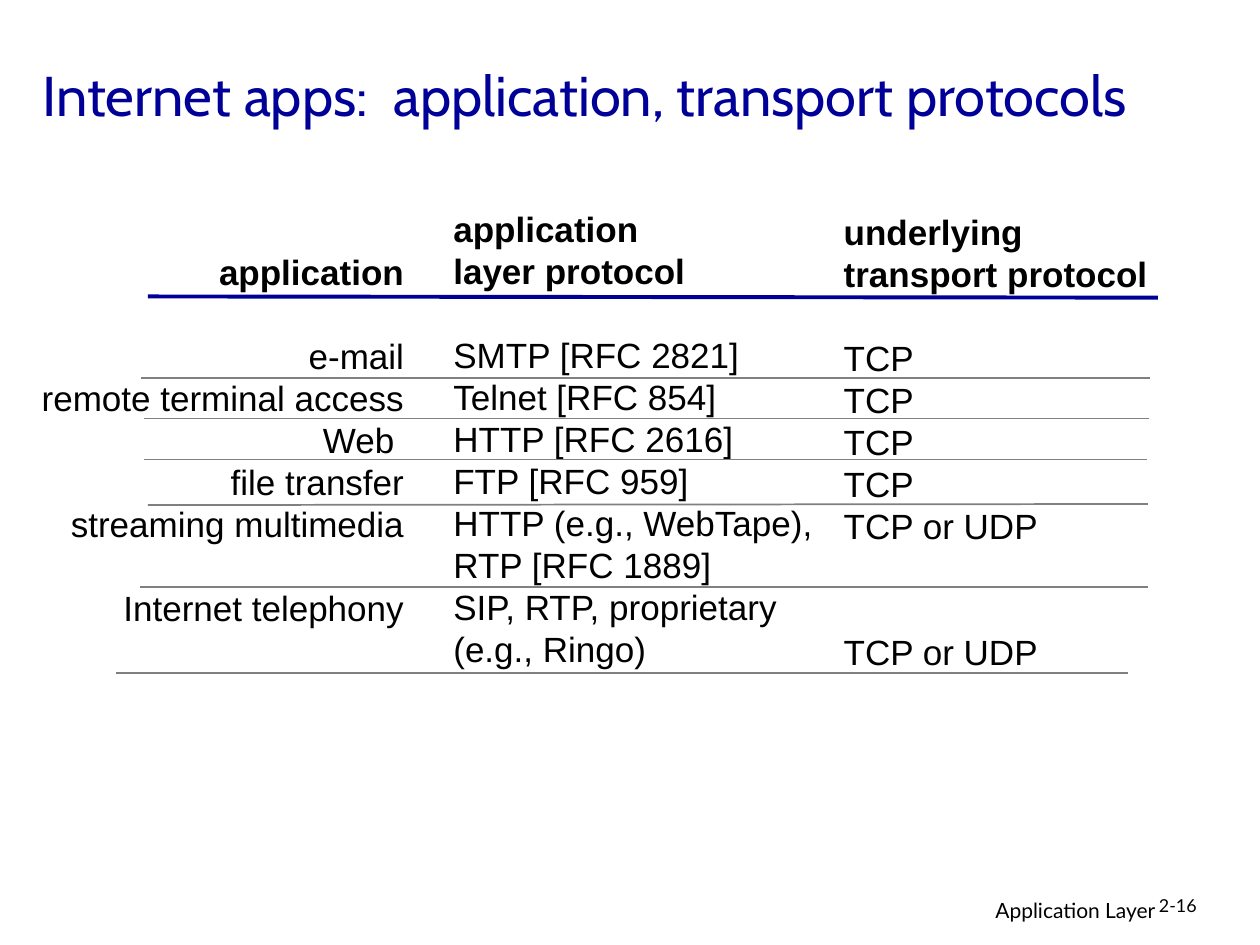
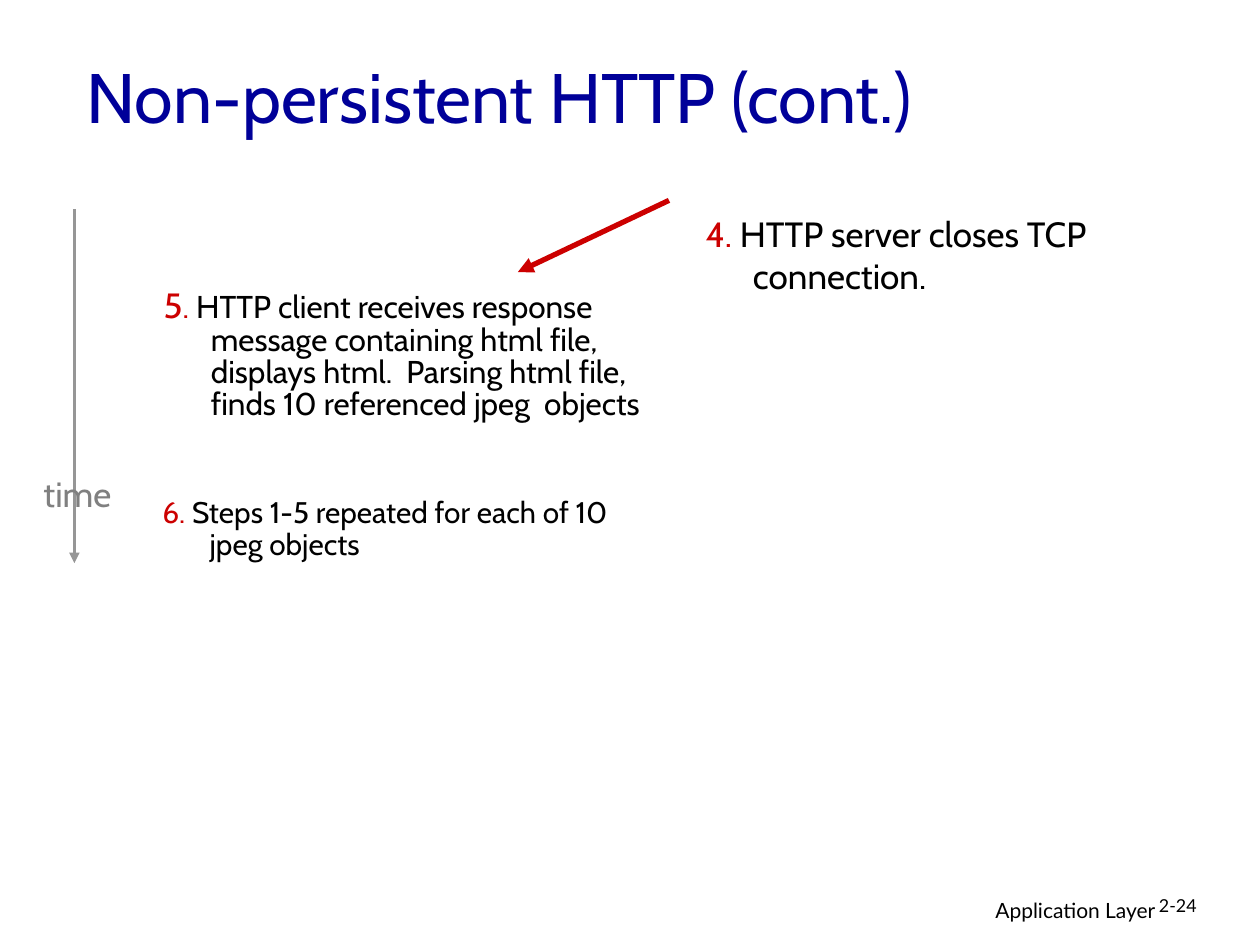
from dataclasses import dataclass
from typing import NamedTuple

from lxml import etree
from pptx import Presentation
from pptx.dml.color import RGBColor
from pptx.enum.shapes import MSO_CONNECTOR
from pptx.enum.text import MSO_ANCHOR, PP_ALIGN
from pptx.oxml.ns import qn
from pptx.util import Pt

STRAIGHT = MSO_CONNECTOR.STRAIGHT
LEFT, CENTER, RIGHT = PP_ALIGN.LEFT, PP_ALIGN.CENTER, PP_ALIGN.RIGHT
MIDDLE = MSO_ANCHOR.MIDDLE

BLACK = RGBColor(0x00, 0x00, 0x00)
NAVY = RGBColor(0x00, 0x00, 0x99)
RED = RGBColor(0xCC, 0x00, 0x00)
GRAY = RGBColor(0x80, 0x80, 0x80)
LIGHT_GRAY = RGBColor(0x96, 0x96, 0x96)

TITLE_FONT, TABLE_FONT, FOOTER_FONT = "Cabin", "Arial", "Lato"
ROW_HEIGHT = 24
HANGING_INDENT = Pt(27)


class Box(NamedTuple):
    left: float
    top: float
    width: float
    height: float


class Entry(NamedTuple):
    text: str
    rows_above: int = 0


class Piece(NamedTuple):
    text: str
    size: float
    color: RGBColor


@dataclass
class Column:
    box: Box
    heading: list[str]
    entries: list[Entry]
    alignment: PP_ALIGN = LEFT


@dataclass
class Line:
    start: tuple[float, float]
    end: tuple[float, float]
    color: RGBColor = GRAY
    weight: float = 1
    arrow: bool = False


@dataclass
class Step:
    box: Box
    pieces: list[Piece]
    line_spacing: float = 1.0


FOOTER_BOX = Box(439.2, 509.4, 228.25, 22.3)
NUMBER_BOX = Box(655.2, 509, 53.3, 21.6)

COLUMNS = [
    Column(Box(10, 139.7, 228, 247.7), ["application"], [
        Entry("e-mail", 1), Entry("remote terminal access"), Entry("Web "),
        Entry("file transfer"), Entry("streaming multimedia"),
        Entry("Internet telephony", 1)], RIGHT),
    Column(Box(252, 115.2, 236, 271.4), ["application", "layer protocol"], [
        Entry("SMTP [RFC 2821]", 1), Entry("Telnet [RFC 854]"),
        Entry("HTTP [RFC 2616]"), Entry("FTP [RFC 959]"),
        Entry("HTTP (e.g., WebTape), \vRTP [RFC 1889]"),
        Entry("SIP, RTP, proprietary"), Entry("(e.g., Ringo)")]),
    Column(Box(475, 116.6, 206.8, 271.4), ["underlying", "transport protocol"], [
        Entry("TCP", 1), Entry("TCP"), Entry("TCP"), Entry("TCP"),
        Entry("TCP or UDP"), Entry("TCP or UDP", 2)]),
]

RULES = [
    Line((84.5, 169.4), (661.7, 170.1), NAVY, 2.25),
    Line((80.6, 216), (657.4, 216)),
    Line((82.1, 239.2), (656.6, 239.2)),
    Line((82.1, 262.6), (655.2, 262.6)),
    Line((84.5, 288.6), (655.9, 288)),
    Line((79.9, 335.5), (655.9, 335.5)),
    Line((66.2, 384.5), (644.4, 384.5)),
]

STEPS = [
    Step(Box(86.4, 162, 300.2, 121), [
        Piece("5", 20, RED), Piece(".", 18, RED),
        Piece(" HTTP client receives response message containing html file, "
              "displays html.  Parsing html file, finds 10 referenced jpeg  objects",
              18, BLACK)], 0.85),
    Step(Box(85.7, 280.8, 300.2, 52.6), [
        Piece("6.", 17, RED),
        Piece(" Steps 1-5 repeated for each of 10 jpeg objects", 17, BLACK)], 0.9),
    Step(Box(396.2, 117.7, 300.2, 57.6), [
        Piece("4.", 20, RED),
        Piece(" HTTP server closes TCP connection.", 20, BLACK)]),
]

TIME_ARROW = Line((42.5, 119.5), (42.5, 321.8), LIGHT_GRAY, 1.5, True)
RESPONSE_ARROW = Line((382.3, 114.5), (295.9, 155.5), RED, 3, True)


def add_text_frame(slide, box: Box):
    frame = slide.shapes.add_textbox(*map(Pt, box)).text_frame
    frame.word_wrap = True
    return frame


def set_font(font, name: str, size: float, color: RGBColor, bold: bool = False) -> None:
    font.name, font.size, font.bold = name, Pt(size), bold
    font.color.rgb = color


def add_label(slide, box: Box, text: str, name: str, size: float,
              color: RGBColor = BLACK, alignment: PP_ALIGN = LEFT):
    frame = add_text_frame(slide, box)
    paragraph = frame.paragraphs[0]
    paragraph.text, paragraph.alignment = text, alignment
    set_font(paragraph.font, name, size, color)
    return frame


def add_line(slide, line: Line) -> None:
    connector = slide.shapes.add_connector(
        STRAIGHT, *map(Pt, line.start), *map(Pt, line.end))
    connector.line.color.rgb = line.color
    connector.line.width = Pt(line.weight)
    if line.arrow:
        outline = connector.line._get_or_add_ln()
        etree.SubElement(outline, qn("a:tailEnd"), type="triangle")
    etree.SubElement(connector._element.spPr, qn("a:effectLst"))


def add_column(slide, column: Column) -> None:
    frame = add_text_frame(slide, column.box)
    rows = [Entry(text) for text in column.heading] + column.entries
    for index, entry in enumerate(rows):
        paragraph = frame.add_paragraph() if index else frame.paragraphs[0]
        paragraph.text = entry.text
        paragraph.alignment = column.alignment
        paragraph.line_spacing = Pt(ROW_HEIGHT)
        if entry.rows_above:
            paragraph.space_before = Pt(ROW_HEIGHT * entry.rows_above)
        set_font(paragraph.font, TABLE_FONT, 20, BLACK, index < len(column.heading))


def add_step(slide, step: Step) -> None:
    paragraph = add_text_frame(slide, step.box).paragraphs[0]
    paragraph.line_spacing = step.line_spacing
    properties = paragraph._p.get_or_add_pPr()
    properties.set("marL", str(HANGING_INDENT))
    properties.set("indent", str(-HANGING_INDENT))
    for piece in step.pieces:
        run = paragraph.add_run()
        run.text = piece.text
        set_font(run.font, TITLE_FONT, piece.size, piece.color)


def add_slide(presentation, title: str, title_box: Box, title_size: float, number: str):
    """Blank slide with the shared footer, page number and title."""
    slide = presentation.slides.add_slide(presentation.slide_layouts[6])
    add_label(slide, FOOTER_BOX, "Application Layer", FOOTER_FONT, 12, alignment=RIGHT)
    number_frame = add_label(slide, NUMBER_BOX, number, FOOTER_FONT, 10.2)
    number_frame.paragraphs[0].line_spacing = 0.9
    title_frame = add_label(slide, title_box, title, TITLE_FONT, title_size, NAVY)
    title_frame.vertical_anchor = MIDDLE
    return slide


def build_protocols_slide(presentation) -> None:
    slide = add_slide(presentation, "Internet apps:  application, transport protocols",
                      Box(17.3, 20.9, 689, 66.2), 32, "2-16")
    for column in COLUMNS:
        add_column(slide, column)
    for rule in RULES:
        add_line(slide, rule)


def build_http_slide(presentation) -> None:
    slide = add_slide(presentation, "Non-persistent HTTP (cont.)",
                      Box(42.5, 20.2, 612, 68.4), 40, "2-24")
    for step in STEPS:
        add_step(slide, step)

    # Time axis and server response
    add_line(slide, TIME_ARROW)
    add_label(slide, Box(15.8, 266.4, 56.9, 31.7), "time", TITLE_FONT, 20, GRAY, CENTER)
    add_line(slide, RESPONSE_ARROW)


def main() -> None:
    presentation = Presentation()
    presentation.slide_width, presentation.slide_height = Pt(720), Pt(540)
    build_protocols_slide(presentation)
    build_http_slide(presentation)
    presentation.save("out.pptx")


if __name__ == "__main__":
    main()
